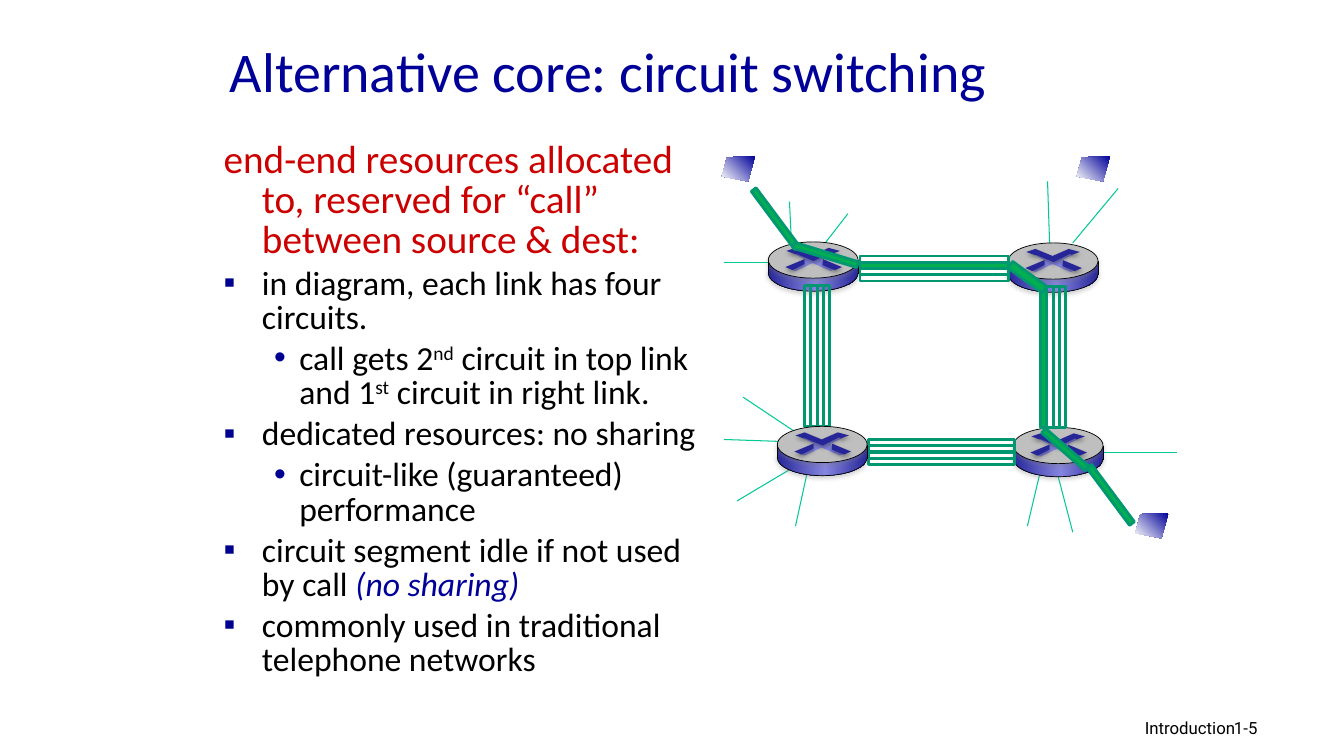
import copy
import lxml.etree
import pptx
import pptx.dml.color
import pptx.enum.shapes
import pptx.enum.text
import pptx.oxml.ns
import pptx.util

RGB = pptx.dml.color.RGBColor
SHAPE = pptx.enum.shapes.MSO_SHAPE
ALIGN = pptx.enum.text.PP_ALIGN
ANCHOR = pptx.enum.text.MSO_ANCHOR
Pt = pptx.util.Pt
qn = pptx.oxml.ns.qn

BLACK = RGB(0x00, 0x00, 0x00)
WHITE = RGB(0xFF, 0xFF, 0xFF)
GREY = RGB(0x80, 0x80, 0x80)
SILVER = RGB(0xBF, 0xBF, 0xBF)
NAVY = RGB(0x00, 0x00, 0x99)
BULLET_BLUE = RGB(0x00, 0x00, 0x90)
RED = RGB(0xCC, 0x00, 0x00)
INDIGO = RGB(0x26, 0x26, 0x99)
LAVENDER = RGB(0x85, 0x85, 0xE0)
MINT = RGB(0x00, 0xC8, 0x96)
TEAL = RGB(0x00, 0x97, 0x71)
GREEN = RGB(0x00, 0xB0, 0x50)

CELL = pptx.util.Inches(0.1)
METAL = [(0, INDIGO), (0.53, LAVENDER), (1, INDIGO)]
GLOW = [(0, NAVY), (1, WHITE)]

CROSS = [(4.4, 2.1), (2.7, 2.9), (2.3, 2.7), (3.6, 2.2), (3.6, 1.7), (2.6, 1.2), (2.9, 1.1),
         (4.4, 1.8), (6, 1.1), (6.4, 1.2), (5.3, 1.7), (5.5, 2.3), (6.6, 2.7), (6.2, 2.9)]
CHEVRON = [(1.8, 0.9), (2.7, 0.6), (4.4, 1.3), (6, 0.6), (7.1, 0.9), (6.3, 1.2), (6.1, 1.1),
           (4.5, 1.9), (2.8, 1.2), (2.6, 1.2)]
RIGHT_ARM = [(5.4, 1.7), (7.3, 2.5), (6.6, 2.8), (5.4, 2.3)]
LEFT_ARM = [(3.6, 1.7), (3.6, 2.2), (2.4, 2.8), (1.7, 2.5)]
HOST = [(3.3, 0), (0.5, 0.1), (0, 2), (2.6, 2.5)]

SPOKES = [
    (78.3, 20, 78.6, 26.1), (84.1, 21.2, 80.3, 26.1), (71.8, 26, 76.9, 26),
    (106.4, 52.8, 104.8, 46.7), (101.9, 52.2, 103.2, 46.7),
    (71.8, 43.6, 77.6, 43.8), (73.7, 39.4, 78.8, 42.8), (73.1, 49.7, 78.8, 46.3),
    (78.9, 52.2, 80.1, 46.7), (116.7, 44.9, 109, 44.9),
    (103.9, 18, 104.1, 24.1), (110.9, 18.7, 106.4, 24.1),
]
CALL_PATH = [
    (73.3, 21.4, 7.2, 0.6, 53.3), (106.6, 48.8, 7.1, 0.6, 53.3), (78.6, 25, 6.6, 0.6, 16.9),
    (102.8, 44.3, 5.7, 0.6, 41.1), (99.8, 27.1, 4.2, 0.8, 36.3),
]
POINTS = [
    (0, [("in diagram, each link has four circuits.", "")]),
    (1, [("call gets 2", ""), ("nd", "super"), (" circuit in top link and 1", ""),
         ("st", "super"), (" circuit in right link.", "")]),
    (0, [("dedicated resources: no sharing", "")]),
    (1, [("circuit-like (guaranteed) performance", "")]),
    (0, [("circuit segment idle if not used by call ", ""), ("(no sharing)", "stress")]),
    (0, [("commonly used in traditional telephone networks", "")]),
]


def cells(*counts):
    return [round(count * CELL) for count in counts]


class CircuitSlide:
    def __init__(self, deck):
        self.slide = deck.slides.add_slide(deck.slide_layouts[5])
        self.shapes = self.slide.shapes

    def style_font(self, font, size, color, face="Calibri"):
        font.size, font.name, font.color.rgb = Pt(size), face, color

    def title(self, wording, *box):
        heading = self.shapes.title
        heading.left, heading.top, heading.width, heading.height = cells(*box)
        heading.text_frame.text = wording
        heading.text_frame.vertical_anchor = ANCHOR.MIDDLE
        heading.text_frame.auto_size = pptx.enum.text.MSO_AUTO_SIZE.NONE
        line = heading.text_frame.paragraphs[0]
        line.alignment = ALIGN.LEFT
        self.style_font(line.font, 40, NAVY)

    def text_frame(self, *box):
        frame = self.shapes.add_textbox(*cells(*box)).text_frame
        frame.word_wrap = True
        return frame

    def footer(self, wording, align, *box):
        line = self.text_frame(*box).paragraphs[0]
        line.text, line.alignment = wording, align
        self.style_font(line.font, 12, BLACK, "Roboto")

    def indent(self, line, margin, hanging):
        line.line_spacing = 0.85
        props = line._p.get_or_add_pPr()
        props.set("marL", str(pptx.util.Inches(margin)))
        props.set("indent", str(-pptx.util.Inches(hanging)))
        return props

    def body(self, lead, points, *box):
        frame = self.text_frame(*box)
        opening = frame.paragraphs[0]
        opening.text = lead
        self.indent(opening, 0.38, 0.38)
        self.style_font(opening.font, 28, RED)
        for level, pieces in points:
            line = frame.add_paragraph()
            line.level = level
            line.space_before = Pt(4.8)
            props = self.indent(line, *[(0.38, 0.38), (0.75, 0.25)][level])
            tint = lxml.etree.SubElement(props, qn("a:buClr"))
            lxml.etree.SubElement(tint, qn("a:srgbClr"), val=str(BULLET_BLUE))
            lxml.etree.SubElement(props, qn("a:buFont"), typeface="Arial")
            lxml.etree.SubElement(props, qn("a:buChar"), char="▪•"[level])
            self.style_font(line.font, 24, BLACK)
            for wording, manner in pieces:
                run = line.add_run()
                run.text = wording
                if manner == "super":
                    run._r.get_or_add_rPr().set("baseline", "30000")
                elif manner == "stress":
                    run.font.italic = True
                    run.font.color.rgb = NAVY

    def shadow(self, effects, color, opacity):
        cast = lxml.etree.SubElement(effects, qn("a:outerShdw"), blurRad=str(Pt(3.1)),
                                     dist=str(Pt(1.8)), dir="5400000", rotWithShape="0")
        tint = lxml.etree.SubElement(cast, qn("a:srgbClr"), val=str(color))
        lxml.etree.SubElement(tint, qn("a:alpha"), val=str(opacity * 1000))

    def paint(self, part, fill, line=None, width=0.5, shade=None, angle=0):
        part.shadow.inherit = False
        if fill is None:
            part.fill.background()
        elif isinstance(fill, list):
            part.fill.gradient()
            part.fill.gradient_angle = angle
            stops = part.element.spPr.find(".//" + qn("a:gsLst"))
            for _ in fill[2:]:
                stops.append(copy.deepcopy(stops[0]))
            for stop, (position, color) in zip(part.fill.gradient_stops, fill):
                stop.position, stop.color.rgb = position, color
        else:
            part.fill.solid()
            part.fill.fore_color.rgb = fill
        if line is None:
            part.line.fill.background()
        else:
            part.line.color.rgb, part.line.width = line, Pt(width)
        if shade is not None:
            self.shadow(part.element.spPr.find(qn("a:effectLst")), shade, 35)

    def preset(self, kind, box, fill, line=None, width=0.5, shade=None, turn=0):
        part = self.shapes.add_shape(kind, *cells(*box))
        part.rotation = turn
        self.paint(part, fill, line, width, shade)

    def outline(self, left, top, corners, fill, shade=None, angle=0):
        start, *rest = [cells(left + x, top + y) for x, y in corners]
        builder = self.shapes.build_freeform(*start, scale=1.0)
        builder.add_line_segments(rest, close=True)
        self.paint(builder.convert_to_shape(), fill, shade=shade, angle=angle)

    def line(self, ends, color, width, shade=None):
        stroke = self.shapes.add_connector(pptx.enum.shapes.MSO_CONNECTOR.STRAIGHT, *cells(*ends))
        stroke.line.color.rgb, stroke.line.width = color, Pt(width)
        effects = lxml.etree.SubElement(stroke.element.spPr, qn("a:effectLst"))
        if shade is not None:
            self.shadow(effects, shade, 38)

    def router(self, left, top):
        self.preset(SHAPE.OVAL, (left, top + 1.3, 8.9, 3.6), METAL, BLACK, shade=GREY)
        self.preset(SHAPE.RECTANGLE, (left, top + 1.8, 8.9, 1.3), METAL)
        self.preset(SHAPE.OVAL, (left, top, 8.9, 3.6), SILVER, BLACK, shade=GREY)
        self.outline(left, top, CROSS, LAVENDER)
        for arrow in (CHEVRON, RIGHT_ARM, LEFT_ARM):
            self.outline(left, top, arrow, INDIGO, BLACK)
        for side in (left, left + 8.9):
            self.line((side, top + 3.2, side, top + 1.8), BLACK, 0.5, GREY)

    def circuit(self, box, fill=None, turn=0):
        self.preset(SHAPE.RECTANGLE, box, fill, TEAL, 2, turn=turn)

    def link(self, left, top, length, upright=False, reserved=None):
        for lane in range(4):
            shift = lane * 0.63
            x, y = (left + shift, top) if upright else (left, top + shift)
            self.circuit((x, y, length, 0.6), GREEN if lane == reserved else None,
                         90 if upright else 0)


def main():
    deck = pptx.Presentation()
    deck.slide_width, deck.slide_height = cells(133.3, 75)
    page = CircuitSlide(deck)
    page.title("Alternative core: circuit switching", 21.8, 3, 85, 7.9)
    page.body("end-end resources allocated to, reserved for “call” between source & dest:",
              POINTS, 21.2, 13.5, 48.8, 50.8)
    page.footer("Introduction", ALIGN.RIGHT, 81.3, 70.7, 42.2, 3.1)
    page.footer("1-5", ALIGN.LEFT, 121.4, 70.7, 9.9, 3)
    for spoke in SPOKES:
        page.line(spoke, MINT, 0.75)
    for corner in [(76.2, 24), (100, 24.1), (100.5, 42.4)]:
        page.router(*corner)
    for host in [(71.6, 15.5), (106.8, 15.5), (112.6, 50.9)]:
        page.outline(*host, HOST, GLOW, angle=225)
    page.link(85.3, 25.4, 14.7, reserved=1)
    page.link(86.1, 43.6, 14.5)
    page.link(73.1, 35, 14, upright=True)
    page.link(96.5, 35.1, 14, upright=True, reserved=0)
    for *box, turn in CALL_PATH:
        page.circuit(box, GREEN, turn)
    page.router(77.1, 42.3)
    deck.save("out.pptx")


if __name__ == "__main__":
    main()
